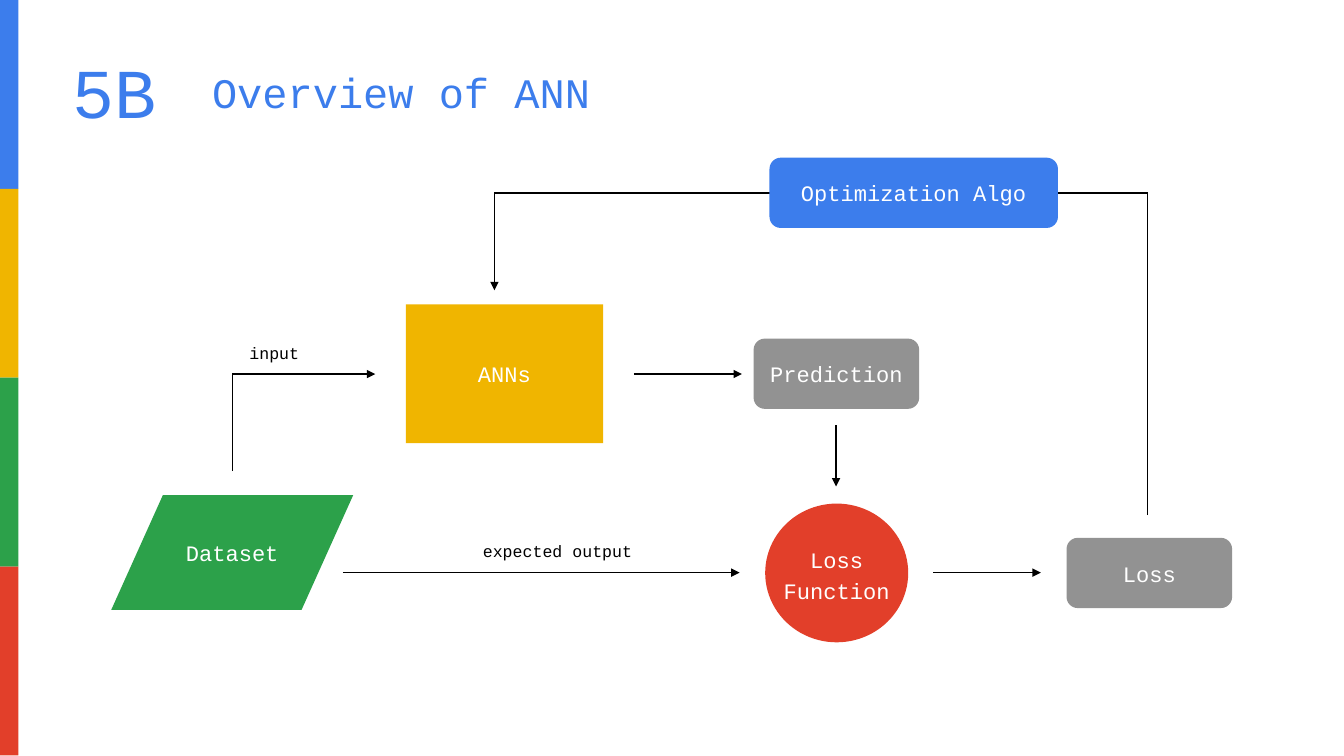
from pptx import Presentation
from pptx.dml.color import RGBColor
from pptx.enum.shapes import MSO_CONNECTOR as CONN, MSO_SHAPE as SHAPE
from pptx.enum.text import MSO_ANCHOR as ANCHOR, PP_ALIGN as ALIGN
from pptx.oxml.ns import qn
from pptx.util import Inches, Pt
from lxml.etree import SubElement

BLUE, YELLOW, GREEN, RED = "3C7DEC", "F0B500", "2CA14A", "E23F2A"
GREY, BLACK, WHITE = "929292", "000000", "FFFFFF"


def rgb(color):
    return RGBColor.from_string(color)


class Diagram:
    font = "Courier New"
    line_width = 1.65
    label_size = 26

    def __init__(self, s):
        self.s = s

    def set_text(self, sp, text, size, color, align, anchor, spacing=1.0):
        tf = sp.text_frame
        frame = dict(word_wrap=False, vertical_anchor=anchor, margin_left=0,
                     margin_right=0, margin_top=Inches(0.01), margin_bottom=0)
        for name, value in frame.items():
            setattr(tf, name, value)
        p = tf.paragraphs[0]
        p.text = text
        p.alignment = align
        p.line_spacing = spacing
        for r in p.runs:
            for name, value in dict(name=self.font, size=Pt(size)).items():
                setattr(r.font, name, value)
            r.font.color.rgb = rgb(color)

    def text(self, text, x, y, w, h, size, color):
        sp = self.s.shapes.add_textbox(*map(Inches, (x, y, w, h)))
        self.set_text(sp, text, size, color, ALIGN.LEFT, ANCHOR.TOP)

    def box(self, kind, x, y, w, h, color, label="", adjust=None, spacing=1.0):
        sp = self.s.shapes.add_shape(kind, *map(Inches, (x, y, w, h)))
        sp.shadow.inherit = False
        sp.fill.solid()
        sp.fill.fore_color.rgb = rgb(color)
        sp.line.fill.background()
        if adjust is not None:
            sp.adjustments[0] = adjust
        if label:
            self.set_text(sp, label, self.label_size, WHITE, ALIGN.CENTER, ANCHOR.MIDDLE, spacing)

    def arrow(self, *points):
        for start, end in zip(points, points[1:]):
            c = self.s.shapes.add_connector(CONN.STRAIGHT, *map(Inches, start + end))
            c.line.color.rgb = rgb(BLACK)
            c.line.width = Pt(self.line_width)
            SubElement(c._element.spPr, qn("a:effectLst"))
        ln = c._element.spPr.find(qn("a:ln"))
        SubElement(ln, qn("a:tailEnd"), type="triangle", w="lg", len="lg")


def main():
    prs = Presentation()
    prs.slide_width, prs.slide_height = Inches(21.99), Inches(12.37)
    d = Diagram(prs.slides.add_slide(prs.slide_layouts[6]))

    bar_h = 3.09
    for i, color in enumerate((BLUE, YELLOW, GREEN, RED)):
        d.box(SHAPE.RECTANGLE, 0, i * bar_h, 0.3, bar_h, color)

    d.text("5B", 1.18, 0.79, 1.4, 1.4, 82.5, BLUE)
    d.text("Overview of ANN", 3.47, 1.08, 9.1, 0.85, 49.5, BLUE)

    top_y, mid_y, low_y = 3.16, 6.12, 9.37
    loss_x = 13.68
    d.arrow((3.8, 7.71), (3.8, mid_y), (6.14, mid_y))
    d.arrow((10.37, mid_y), (12.14, mid_y))
    d.arrow((5.61, low_y), (12.1, low_y))
    d.arrow((loss_x, 6.96), (loss_x, 7.96))
    d.arrow((15.27, low_y), (17.03, low_y))
    d.arrow((18.78, 8.43), (18.78, top_y), (8.09, top_y), (8.09, 4.75))

    d.box(SHAPE.RECTANGLE, 6.64, 4.98, 3.23, 2.27, YELLOW, "ANNs")
    d.box(SHAPE.PARALLELOGRAM, 1.82, 8.1, 3.96, 1.88, GREEN, "Dataset", 0.45)
    d.box(SHAPE.OVAL, 12.52, 8.24, 2.34, 2.27, RED, "Loss\nFunction", spacing=1.14)
    for label, x, y, w, color in (
        ("Optimization Algo", 12.59, 2.58, 4.72, BLUE),
        ("Prediction", 12.33, 5.54, 2.71, GREY),
        ("Loss", 17.45, 8.8, 2.71, GREY),
    ):
        d.box(SHAPE.ROUNDED_RECTANGLE, x, y, w, 1.15, color, label, 0.16)

    d.text("input", 4.08, 5.6, 0.85, 0.36, 19.5, BLACK)
    d.text("expected output", 7.9, 8.84, 2.5, 0.36, 19.5, BLACK)

    prs.save("out.pptx")


if __name__ == "__main__":
    main()
